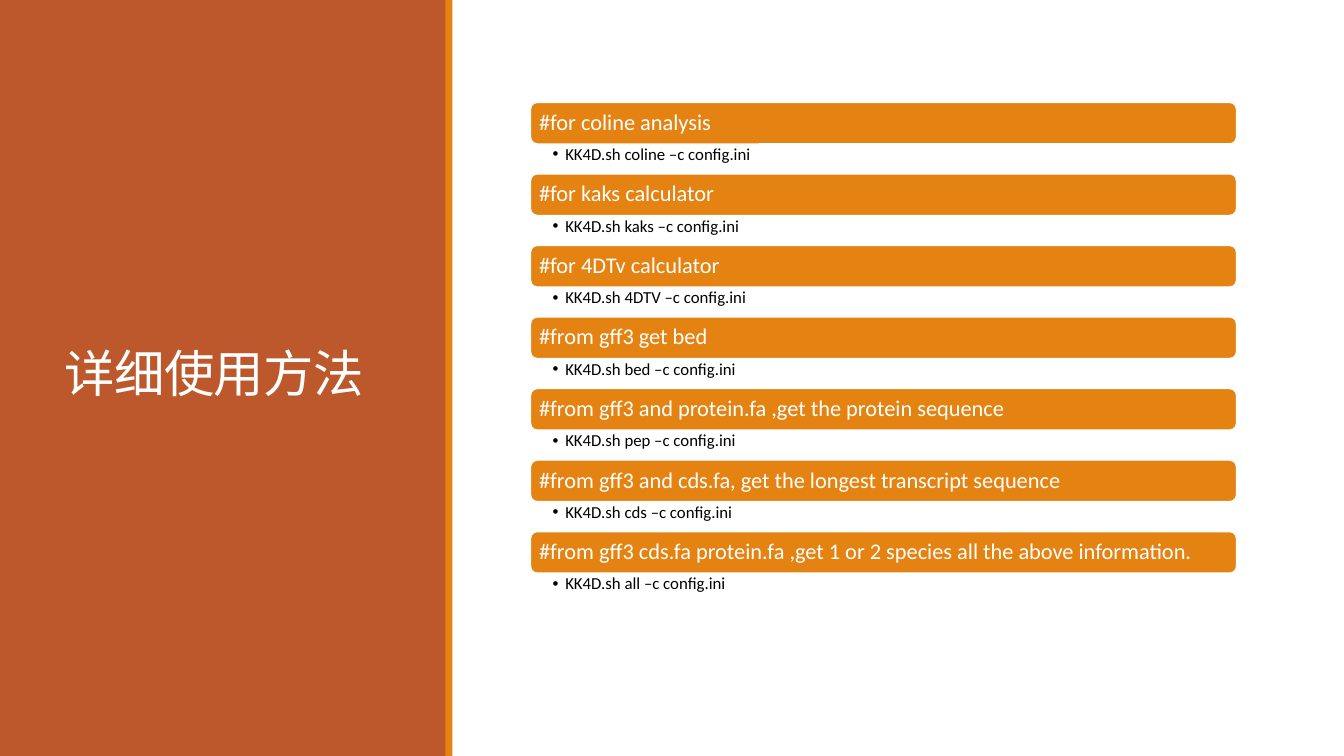
from pptx import Presentation
from pptx.dml.color import RGBColor
from pptx.enum.shapes import MSO_SHAPE
from pptx.enum.text import MSO_ANCHOR, MSO_AUTO_SIZE, PP_ALIGN
from pptx.oxml.ns import qn
from pptx.util import Pt
from lxml.etree import SubElement

COMMANDS = [
    ("#for coline analysis", "coline"),
    ("#for kaks calculator", "kaks"),
    ("#for 4DTv calculator", "4DTV"),
    ("#from gff3 get bed", "bed"),
    ("#from gff3 and protein.fa ,get the protein sequence", "pep"),
    ("#from gff3 and cds.fa, get the longest transcript sequence", "cds"),
    ("#from gff3 cds.fa protein.fa ,get 1 or 2 species all the above information.", "all"),
]


def rgb(value):
    return RGBColor.from_string(value)


def set_text(tf, text, size, color, font="Calibri", anchor=MSO_ANCHOR.MIDDLE,
             insets=(7.2, 3.6, 7.2, 3.6), line_spacing=0.9, tracking=None, bullet=None):
    """Write one left-aligned paragraph; insets run left, top, right, bottom."""
    tf.word_wrap = True
    tf.auto_size = MSO_AUTO_SIZE.NONE
    tf.vertical_anchor = anchor
    tf.margin_left, tf.margin_top, tf.margin_right, tf.margin_bottom = map(Pt, insets)
    p = tf.paragraphs[0]
    p.alignment = PP_ALIGN.LEFT
    p.line_spacing = line_spacing
    r = p.add_run()
    r.text = text
    r.font.size = Pt(size)
    r.font.name = font
    r.font.color.rgb = rgb(color)
    if tracking is not None:
        r._r.get_or_add_rPr().set("spc", str(round(tracking * 100)))
    if bullet:
        p.level = 1
        pPr = p._p.get_or_add_pPr()
        indent = Pt(9)
        pPr.set("marL", str(indent))
        pPr.set("indent", str(-indent))
        SubElement(pPr, qn("a:buFont"), typeface="Arial")
        SubElement(pPr, qn("a:buChar"), char=bullet)


class UsageSlide:
    RUST, ORANGE, WHITE, BLACK = "BD582C", "E48312", "FFFFFF", "000000"

    def __init__(self, prs):
        self.slide = prs.slides.add_slide(prs.slide_layouts[5])
        self.shapes = self.slide.shapes
        self.slide.background.fill.solid()
        self.slide.background.fill.fore_color.rgb = rgb(self.WHITE)

    def box(self, kind, left, top, width, height, fill, line=None):
        sp = self.shapes.add_shape(kind, Pt(left), Pt(top), Pt(width), Pt(height))
        sp.shadow.inherit = False
        sp.fill.solid()
        sp.fill.fore_color.rgb = rgb(fill)
        if line:
            sp.line.color.rgb = rgb(line)
            sp.line.width = Pt(1.25)
        else:
            sp.line.fill.background()
        return sp

    def panel(self, left, width, fill):
        """Add a full-height band that lies behind the title."""
        sp = self.box(MSO_SHAPE.RECTANGLE, left, 0, width, 540, fill)
        self.shapes.title.element.addprevious(sp.element)

    def title(self, text, left, top, width, height):
        sp = self.shapes.title
        sp.left, sp.top, sp.width, sp.height = map(Pt, (left, top, width, height))
        set_text(sp.text_frame, text, 36, self.WHITE, line_spacing=0.85, tracking=-0.5)

    def heading(self, text, left, top, width, height):
        sp = self.box(MSO_SHAPE.ROUNDED_RECTANGLE, left, top, width, height,
                      self.ORANGE, self.WHITE)
        set_text(sp.text_frame, text, 16, self.WHITE, insets=(4.8, 4.8, 4.8, 4.8))

    def command(self, text, left, top, width, height):
        sp = self.shapes.add_textbox(Pt(left), Pt(top), Pt(width), Pt(height))
        set_text(sp.text_frame, text, 12, self.BLACK, anchor=MSO_ANCHOR.TOP,
                 insets=(16, 1.4, 8.5, 1.4), bullet="•")


def main():
    prs = Presentation()
    prs.slide_width, prs.slide_height = Pt(960), Pt(540)
    usage = UsageSlide(prs)
    usage.panel(0, 319, usage.RUST)
    usage.panel(318.2, 5, usage.ORANGE)
    usage.title("详细使用方法", 39, 47.5, 242.6, 444.2)

    left, first_top, width = 378.8, 73, 504.6
    bar_height, command_height = 30, 21.1
    for i, (heading, name) in enumerate(COMMANDS):
        top = first_top + i * (bar_height + command_height)
        usage.heading(heading, left, top, width, bar_height)
        usage.command(f"KK4D.sh {name} –c config.ini", left, top + bar_height,
                      width, command_height)
    prs.save("out.pptx")


if __name__ == "__main__":
    main()
